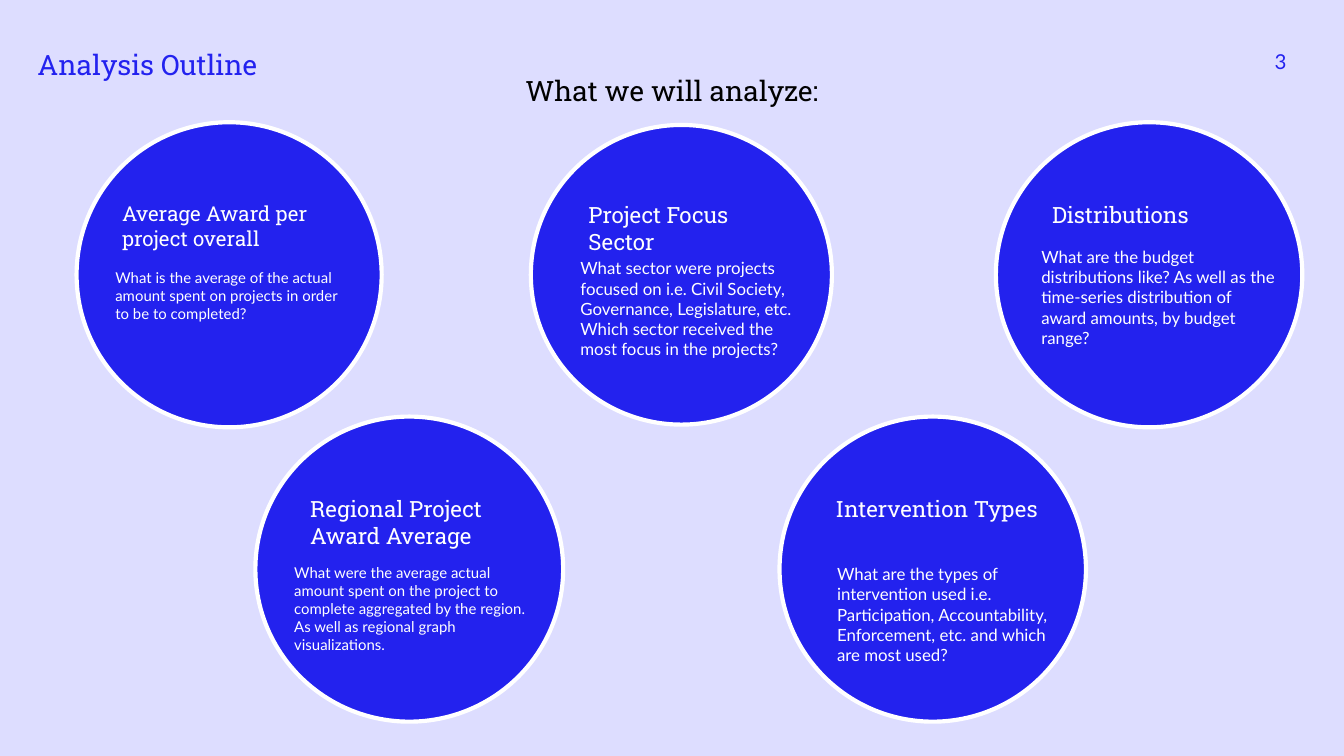
from dataclasses import dataclass

from pptx import Presentation
from pptx.dml.color import RGBColor
from pptx.enum.shapes import MSO_SHAPE
from pptx.enum.text import MSO_ANCHOR, PP_ALIGN
from pptx.util import Inches, Pt

OVAL = MSO_SHAPE.OVAL
TOP = MSO_ANCHOR.TOP
LEFT, CENTER, RIGHT = PP_ALIGN.LEFT, PP_ALIGN.CENTER, PP_ALIGN.RIGHT

# The slide is a grid of square cells, 100 columns by 56.25 rows.
COLUMNS, ROWS = 100, 56.25
CELL = Inches(10) / COLUMNS
UPPER_ROW, LOWER_ROW = 20.45, 42.35  # circle centres


@dataclass(frozen=True)
class Theme:
    background: str = "DDDDFF"
    disc: str = "2322EE"
    accent: str = "2322EF"
    light: str = "FFFFFF"
    dark: str = "000000"
    heading_font: str = "Roboto Slab"
    body_font: str = "Lato"
    title_size: int = 15
    number_size: int = 11
    outline: float = 2.25


THEME = Theme()


@dataclass(frozen=True)
class Topic:
    """Heading and body offsets are cells from the circle's centre."""
    heading: str
    body: tuple
    center: tuple
    size: tuple
    heading_dx: float
    heading_width: float
    body_offset: tuple
    body_width: float
    heading_size: int = 12
    body_size: int = 9


TOPICS = (
    Topic("Average Award per project overall",
          ("What is the average of the actual amount spent on projects "
           "in order to be to completed?",),
          (17.05, UPPER_ROW), (22.7, 22.7), -13.95, 22.9, (-9.45, -1.45), 19.4,
          heading_size=11, body_size=8),
    Topic("Regional Project Award Average",
          ("What were the average actual amount spent on the project to "
           "complete aggregated by the region. As well as regional graph "
           "visualizations.",),
          (30.45, LOWER_ROW), (22.9, 22.7), -13.35, 23.1, (-9.55, -1.4), 19.5,
          body_size=8),
    Topic("Project Focus Sector",
          ("What sector were projects focused on i.e. Civil Society, "
           "Governance, Legislature, etc.",
           "Which sector received the most focus in the projects?"),
          (50.7, UPPER_ROW), (22.4, 22.3), -12.9, 22.6, (-8.5, -2.25), 19.1),
    Topic("Intervention Types",
          ("What are the types of intervention used i.e. Participation, "
           "Accountability, Enforcement, etc. and which are most used?",),
          (69.4, LOWER_ROW), (22.8, 22.7), -13.2, 23, (-8.1, -1.4), 18.5),
    Topic("Distributions",
          ("What are the budget distributions like? As well as the "
           "time-series distribution of award amounts, by budget range?",),
          (85.5, UPPER_ROW), (22.8, 22.7), -13.2, 23, (-9, -3.1), 19.4),
)


def cells(*values):
    return [round(v * CELL) for v in values]


def rgb(color):
    return RGBColor.from_string(color)


def add_text(s, box, lines, font, size, color, align=LEFT, indent=0):
    tf = s.shapes.add_textbox(*cells(*box)).text_frame
    tf.word_wrap = True
    tf.vertical_anchor = TOP
    tf.margin_left = tf.margin_right = tf.margin_top = tf.margin_bottom = Inches(0.1)
    tf.text = "\n".join(lines)
    for p in tf.paragraphs:
        p.alignment = align
        if indent:
            pPr = p._p.get_or_add_pPr()
            pPr.set("marL", str(cells(indent)[0]))
            pPr.set("indent", "0")
        for r in p.runs:
            r.font.name = font
            r.font.size = Pt(size)
            r.font.color.rgb = rgb(color)


def add_heading(s, box, text, size, color, **layout):
    add_text(s, box, [text], THEME.heading_font, size, color, **layout)


def add_disc(s, center, size):
    (x, y), (w, h) = center, size
    sp = s.shapes.add_shape(OVAL, *cells(x - w / 2, y - h / 2, w, h))
    sp.shadow.inherit = False
    sp.fill.solid()
    sp.fill.fore_color.rgb = rgb(THEME.disc)
    sp.line.color.rgb = rgb(THEME.light)
    sp.line.width = Pt(THEME.outline)


def add_topic(s, topic):
    """Draw one circle with its heading and body text."""
    x, y = topic.center
    dx, dy = topic.body_offset
    add_disc(s, topic.center, topic.size)
    add_heading(s, (x + topic.heading_dx, y - 6.5, topic.heading_width, 4.6),
                topic.heading, topic.heading_size, THEME.light, indent=5)
    add_text(s, (x + dx, y + dy, topic.body_width, 10.8), topic.body,
             THEME.body_font, topic.body_size, THEME.light)


def main():
    prs = Presentation()
    prs.slide_width, prs.slide_height = cells(COLUMNS, ROWS)
    s = prs.slides.add_slide(prs.slide_layouts[6])
    s.background.fill.solid()
    s.background.fill.fore_color.rgb = rgb(THEME.background)

    add_heading(s, (1.8, 2.5, 40, 3.9), "Analysis Outline",
                THEME.title_size, THEME.accent)
    add_heading(s, (24.3, 4.5, 51.4, 5.2), "What we will analyze:",
                THEME.title_size, THEME.dark, align=CENTER)
    add_text(s, (92.9, 2.7, 3.8, 1.9), ["3"], THEME.body_font,
             THEME.number_size, THEME.accent, align=RIGHT)
    for topic in TOPICS:
        add_topic(s, topic)
    prs.save("out.pptx")


if __name__ == "__main__":
    main()
